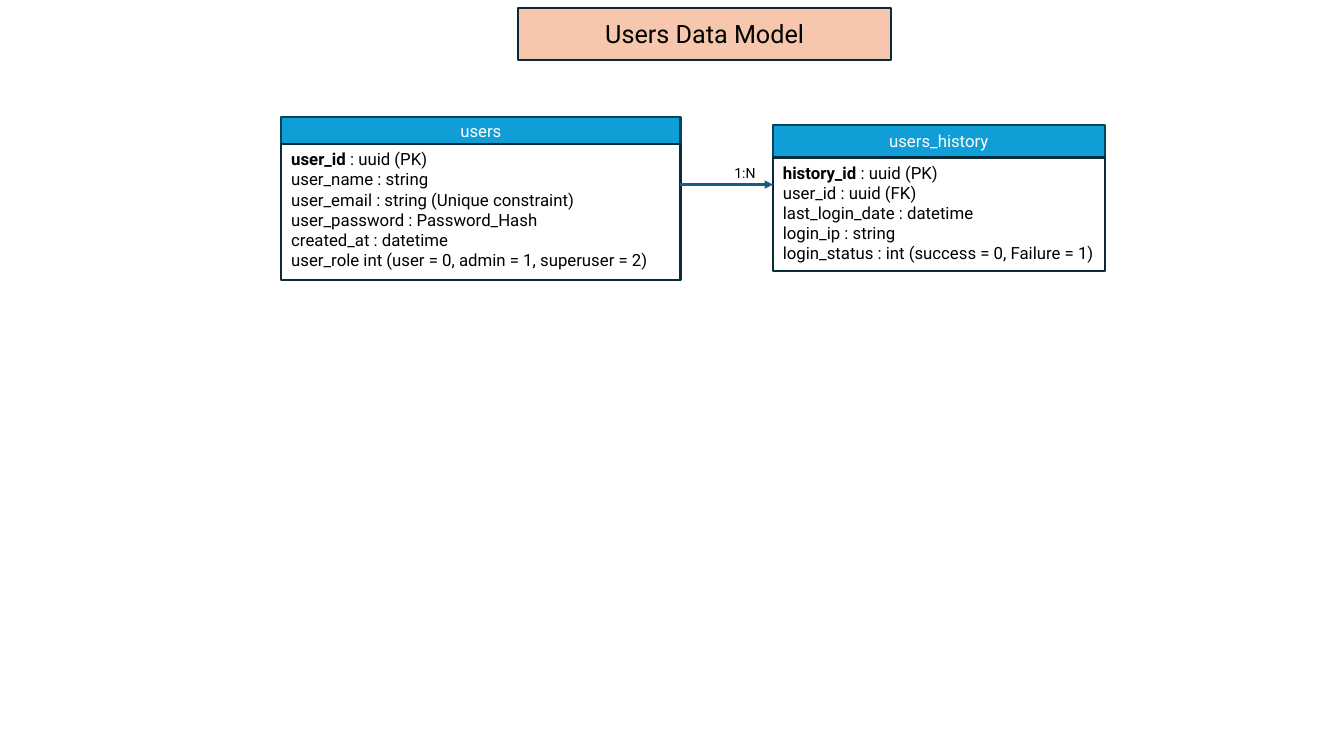
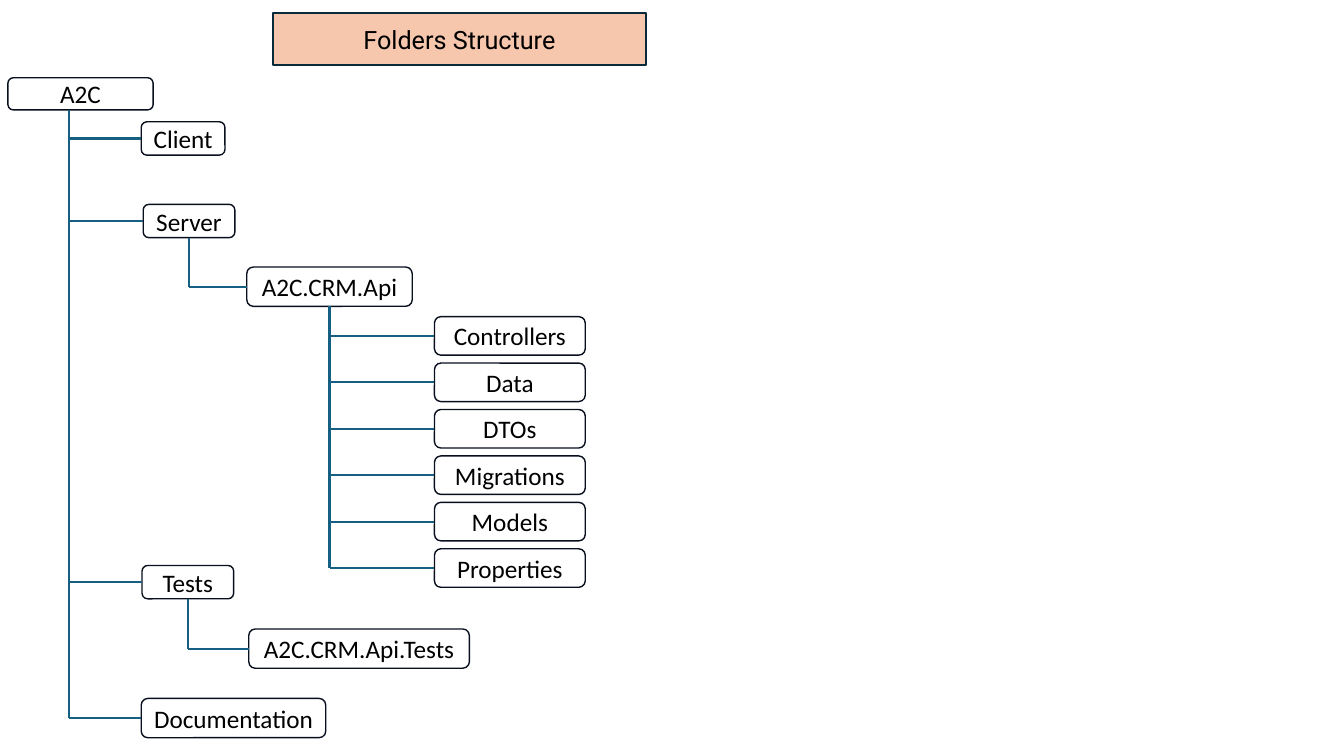
import pptx
import pptx.dml.color
import pptx.enum.shapes
import pptx.enum.text
import pptx.oxml
import pptx.oxml.ns
import pptx.util

Cm = pptx.util.Cm
Pt = pptx.util.Pt
SHAPES = pptx.enum.shapes.MSO_SHAPE
ALIGN = pptx.enum.text.PP_ALIGN
ANCHOR = pptx.enum.text.MSO_ANCHOR

BLACK = "000000"
WHITE = "FFFFFF"
PEACH = "F6C6AD"
BLUE = "0F9ED5"
HEADER_EDGE = "07455D"
BOX_EDGE = "092A39"
NODE_EDGE = "09101D"
LINK = "156082"
MODEL_FONT = "Roboto"
FOLDER_FONT = "Calibri"
TITLE_SIZE = (9.4, 1.31)

USERS_FIELDS = [
    ("user_id", " : uuid (PK)"),
    ("", "user_name : string"),
    ("", "user_email : string (Unique constraint)"),
    ("", "user_password : Password_Hash"),
    ("", "created_at : datetime"),
    ("", "user_role int (user = 0, admin = 1, superuser = 2)"),
]
HISTORY_FIELDS = [
    ("history_id", " : uuid (PK)"),
    ("", "user_id : uuid (FK)"),
    ("", "last_login_date : datetime"),
    ("", "login_ip : string"),
    ("", "login_status : int (success = 0, Failure = 1)"),
]
API_FOLDERS = ["Controllers", "Data", "DTOs", "Migrations", "Models", "Properties"]


def color(value):
    return pptx.dml.color.RGBColor.from_string(value)


def add_span(para, text, size, font, ink=BLACK, bold=False):
    span = para.add_run()
    span.text = text
    span.font.size = Pt(size)
    span.font.name = font
    span.font.bold = bold
    span.font.color.rgb = color(ink)


def add_label(box, text, size, font, ink=BLACK):
    box.text_frame.vertical_anchor = ANCHOR.MIDDLE
    para = box.text_frame.paragraphs[0]
    para.alignment = ALIGN.CENTER
    add_span(para, text, size, font, ink)


def add_box(shapes, kind, area, edge, weight, fill=None):
    box = shapes.add_shape(kind, *map(Cm, area))
    box.shadow.inherit = False
    if fill:
        box.fill.solid()
        box.fill.fore_color.rgb = color(fill)
    else:
        box.fill.background()
    box.line.color.rgb = color(edge)
    box.line.width = Pt(weight)
    box.text_frame.word_wrap = True
    return box


def add_page(deck, title, left, top):
    page = deck.slides.add_slide(deck.slide_layouts[6])
    box = add_box(page.shapes, SHAPES.RECTANGLE, (left, top, *TITLE_SIZE), BOX_EDGE, 1.5, PEACH)
    add_label(box, title, 18, MODEL_FONT)
    return page


def add_link(page, start_x, start_y, end_x, end_y, arrow=False):
    link = page.shapes.add_connector(
        pptx.enum.shapes.MSO_CONNECTOR.STRAIGHT, start_x, start_y, end_x, end_y)
    link.line.color.rgb = color(LINK)
    link.line.width = Pt(1.5)
    if arrow:
        head = pptx.oxml.parse_xml(
            f'<a:tailEnd {pptx.oxml.ns.nsdecls("a")} type="triangle"/>')
        link.line._get_or_add_ln().append(head)
    link._element.spPr.append(
        pptx.oxml.parse_xml(f'<a:effectLst {pptx.oxml.ns.nsdecls("a")}/>'))
    return link


def add_entity(page, name, fields, left, top, width, header_height, body_height):
    group = page.shapes.add_group_shape()
    header = add_box(group.shapes, SHAPES.RECTANGLE,
                     (left, top, width, header_height), HEADER_EDGE, 1.5, BLUE)
    add_label(header, name, 12, MODEL_FONT, WHITE)
    body = add_box(group.shapes, SHAPES.RECTANGLE,
                   (left, top + header_height, width, body_height), BOX_EDGE, 1.5)
    frame = body.text_frame
    frame.vertical_anchor = ANCHOR.TOP
    for index, (key, detail) in enumerate(fields):
        para = frame.add_paragraph() if index else frame.paragraphs[0]
        para.alignment = ALIGN.LEFT
        if key:
            add_span(para, key, 12, MODEL_FONT, bold=True)
        add_span(para, detail, 12, MODEL_FONT)


def add_folder(page, name, *area):
    folder = add_box(page.shapes, SHAPES.ROUNDED_RECTANGLE, area, NODE_EDGE, 1, WHITE)
    folder.text_frame.word_wrap = False
    add_label(folder, name, 18, FOLDER_FONT)
    return folder


def middle_y(folder):
    return folder.top + folder.height // 2


def add_branches(page, parent, children, trunk_x=None):
    x = trunk_x or parent.left + parent.width // 2
    trunk = add_link(page, x, parent.top + parent.height, x, middle_y(children[-1]))
    if trunk_x is None:
        trunk.begin_connect(parent, 2)
    for child in children:
        branch = add_link(page, x, middle_y(child), child.left, middle_y(child))
        branch.end_connect(child, 1)


def build_data_model(deck):
    page = add_page(deck, "Users Data Model", 13.06, 0.2)
    add_entity(page, "users", USERS_FIELDS, 7.09, 2.95, 10.06, 0.68, 3.43)
    add_entity(page, "users_history", HISTORY_FIELDS, 19.48, 3.15, 8.36, 0.82, 2.87)
    add_link(page, Cm(17.15), Cm(4.65), Cm(19.48), Cm(4.65), arrow=True)
    box = page.shapes.add_textbox(Cm(18.14), Cm(3.96), Cm(1.27), Cm(0.79))
    box.text_frame.word_wrap = True
    add_label(box, "1:N", 10, MODEL_FONT)


def build_folders(deck):
    page = add_page(deck, "Folders Structure", 6.88, 0.33)
    root = add_folder(page, "A2C", 0.2, 1.96, 3.66, 0.81)
    client = add_folder(page, "Client", 3.56, 3.07, 2.11, 0.84)
    server = add_folder(page, "Server", 3.61, 5.15, 2.31, 0.84)
    tests = add_folder(page, "Tests", 3.58, 14.25, 2.31, 0.84)
    documentation = add_folder(page, "Documentation", 3.56, 17.6, 4.65, 0.99)
    api = add_folder(page, "A2C.CRM.Api", 6.22, 6.73, 4.17, 0.99)
    api_tests = add_folder(page, "A2C.CRM.Api.Tests", 6.27, 15.85, 5.56, 0.99)
    api_folders = [add_folder(page, name, 10.95, 7.98 + 1.17 * row, 3.8, 0.97)
                   for row, name in enumerate(API_FOLDERS)]
    add_branches(page, root, [client, server, tests, documentation], Cm(1.75))
    add_branches(page, server, [api])
    add_branches(page, api, api_folders)
    add_branches(page, tests, [api_tests])


def main():
    deck = pptx.Presentation()
    deck.slide_width = Cm(33.87)
    deck.slide_height = Cm(19.05)
    build_data_model(deck)
    build_folders(deck)
    deck.save("out.pptx")


if __name__ == "__main__":
    main()
